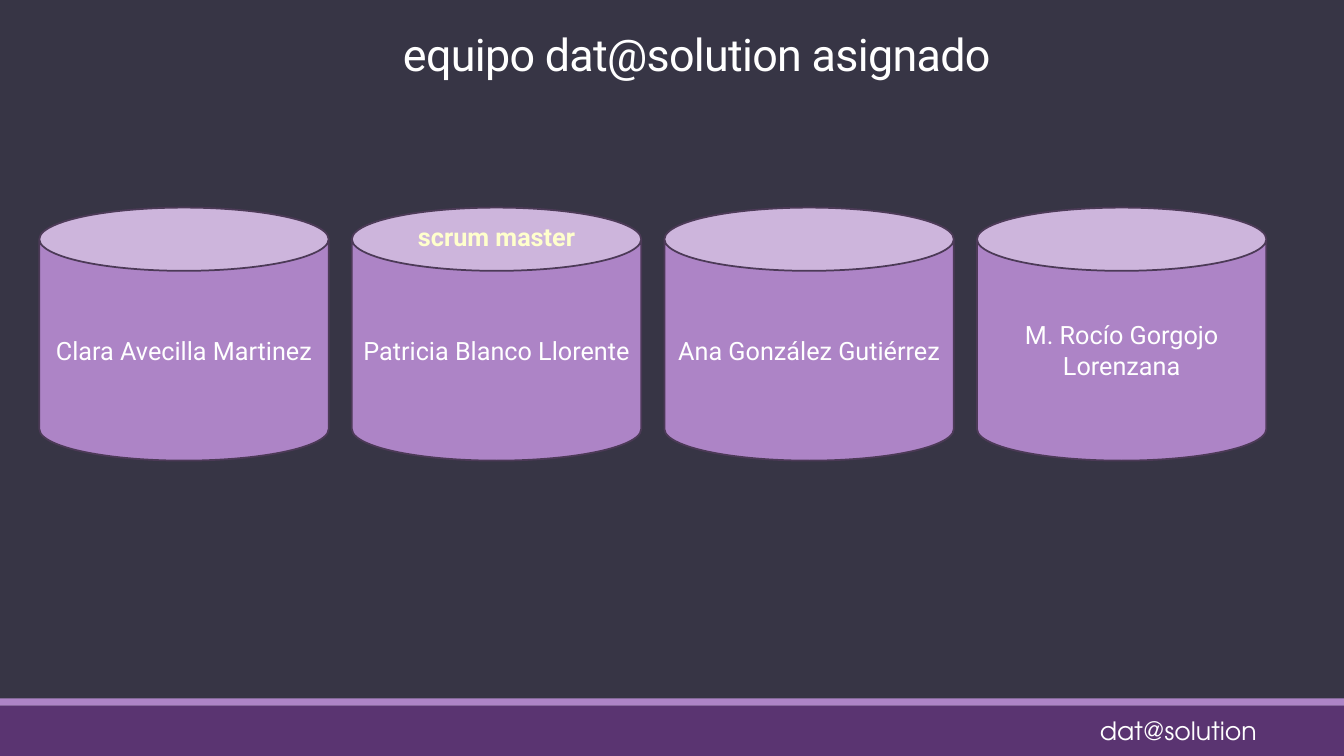
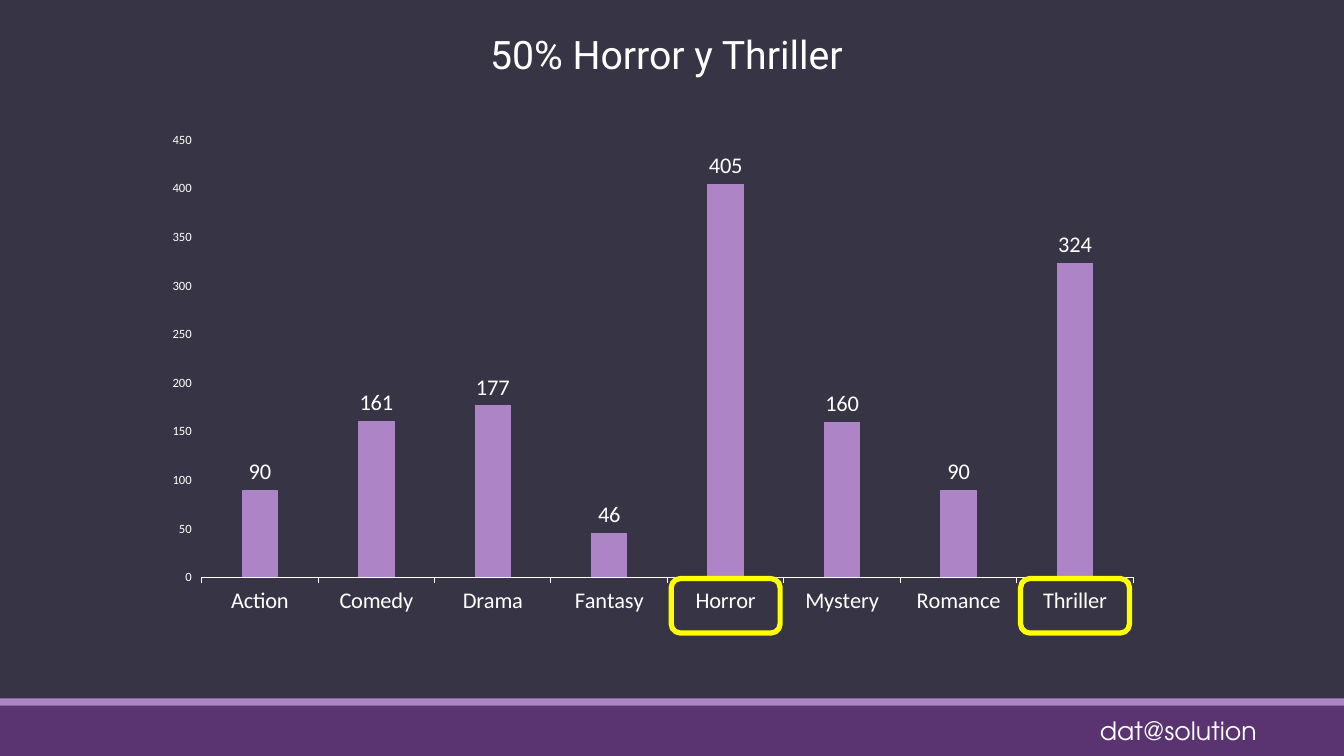
from lxml import etree
from pptx import Presentation
from pptx.chart.data import CategoryChartData
from pptx.dml.color import RGBColor
from pptx.enum.chart import XL_CHART_TYPE, XL_LABEL_POSITION, XL_TICK_MARK
from pptx.enum.shapes import MSO_SHAPE
from pptx.enum.text import MSO_ANCHOR, MSO_AUTO_SIZE, PP_ALIGN
from pptx.oxml.ns import qn
from pptx.util import Inches, Pt

BACKGROUND = "373545"
BAND = "5A3471"
LILAC = "AD84C6"
OUTLINE = "4C3A57"
WHITE = "FFFFFF"
CREAM = "FFFFCC"
YELLOW = "FFFF00"
SLIDE_WIDTH = 13.33
TEXT_FONT = "Roboto"
BRAND_FONT = "TeX Gyre Adventor"
CHART_FONT = "Calibri"

TEAM = ["Clara Avecilla Martinez", "Patricia Blanco Llorente",
        "Ana González Gutiérrez", "M. Rocío Gorgojo Lorenzana"]
SCRUM_MASTER = 1
GENRES = {"Action": 90, "Comedy": 161, "Drama": 177, "Fantasy": 46,
          "Horror": 405, "Mystery": 160, "Romance": 90, "Thriller": 324}
HIGHLIGHTED = ["Horror", "Thriller"]


def color(hex_value):
    return RGBColor.from_string(hex_value)


def box(left, top, width, height):
    return Inches(left), Inches(top), Inches(width), Inches(height)


def format_font(font, size, name=TEXT_FONT, hex_value=WHITE, bold=False):
    font.size = Pt(size)
    font.name = name
    font.bold = bold
    font.color.rgb = color(hex_value)


def write(shape, text, size, align=PP_ALIGN.CENTER, anchor=MSO_ANCHOR.TOP, **font):
    frame = shape.text_frame
    frame.text = text
    frame.word_wrap = True
    frame.auto_size = MSO_AUTO_SIZE.NONE
    frame.vertical_anchor = anchor
    paragraph = frame.paragraphs[0]
    paragraph.alignment = align
    run = paragraph.runs[0]
    format_font(run.font, size, **font)
    return paragraph, run


def add_shape(slide, kind, place, fill=None, line=None, line_width=1):
    shape = slide.shapes.add_shape(kind, *box(*place))
    shape.shadow.inherit = False
    if fill:
        shape.fill.solid()
        shape.fill.fore_color.rgb = color(fill)
    else:
        shape.fill.background()
    if line:
        shape.line.color.rgb = color(line)
        shape.line.width = Pt(line_width)
    else:
        shape.line.fill.background()
    return shape


def add_label(slide, text, place, **style):
    write(slide.shapes.add_textbox(*box(*place)), text, 18, **style)


def add_slide(presentation, title, place, size, anchor):
    slide = presentation.slides.add_slide(presentation.slide_layouts[5])
    add_shape(slide, MSO_SHAPE.RECTANGLE, (0, 7, SLIDE_WIDTH, 0.5), BAND)
    add_shape(slide, MSO_SHAPE.RECTANGLE, (0, 6.93, SLIDE_WIDTH, 0.07), LILAC)
    add_label(slide, "dat@solution", (10.81, 7.05, 1.85, 0.4),
              align=PP_ALIGN.LEFT, name=BRAND_FONT)
    heading = slide.shapes.title
    heading.left, heading.top, heading.width, heading.height = box(*place)
    paragraph, run = write(heading, title, size, anchor=anchor)
    return slide, paragraph, run


def set_plot_area(chart, left, top, width, height):
    plot_area = chart._chartSpace.chart.plotArea
    for old_layout in plot_area.findall(qn("c:layout")):
        plot_area.remove(old_layout)
    layout = etree.Element(qn("c:layout"))
    manual = etree.SubElement(layout, qn("c:manualLayout"))
    settings = {"layoutTarget": "inner", "xMode": "edge", "yMode": "edge",
                "x": left, "y": top, "w": width, "h": height}
    for tag, value in settings.items():
        etree.SubElement(manual, qn(f"c:{tag}")).set("val", str(value))
    plot_area.insert(0, layout)


def add_genre_chart(slide, place):
    data = CategoryChartData()
    data.categories = list(GENRES)
    data.add_series("Series 1", list(GENRES.values()))
    chart = slide.shapes.add_chart(
        XL_CHART_TYPE.COLUMN_CLUSTERED, *box(*place), data).chart
    chart.has_legend = False
    chart.has_title = False
    format_font(chart.font, 10, CHART_FONT)

    plot = chart.plots[0]
    plot.gap_width = 219
    plot.overlap = -27
    plot.vary_by_categories = False
    fill = plot.series[0].format.fill
    fill.solid()
    fill.fore_color.rgb = color(LILAC)

    plot.has_data_labels = True
    labels = plot.data_labels
    labels.show_value = True
    labels.position = XL_LABEL_POSITION.OUTSIDE_END
    format_font(labels.font, 16, CHART_FONT)

    for axis, size in ((chart.category_axis, 16), (chart.value_axis, 9)):
        axis.has_major_gridlines = False
        axis.major_tick_mark = XL_TICK_MARK.OUTSIDE
        format_font(axis.tick_labels.font, size, CHART_FONT)
    chart.category_axis.format.line.color.rgb = color(WHITE)
    chart.category_axis.format.line.width = Pt(0.75)
    chart.value_axis.format.line.fill.background()
    chart.value_axis.minimum_scale = 0
    chart.value_axis.maximum_scale = 450
    chart.value_axis.major_unit = 50
    return chart


def build_team_slide(presentation):
    slide, paragraph, run = add_slide(
        presentation, "equipo dat@solution asignado",
        (1.41, 0.19, 11, 0.66), 32, MSO_ANCHOR.BOTTOM)
    paragraph.line_spacing = 0.85
    run._r.get_or_add_rPr().set("spc", "-50")
    left, pitch, width = 0.39, 3.1, 2.87
    for index, member in enumerate(TEAM):
        can = add_shape(slide, MSO_SHAPE.CAN,
                        (left + index * pitch, 2.06, width, 2.51),
                        LILAC, OUTLINE, 1.25)
        write(can, member, 18, anchor=MSO_ANCHOR.MIDDLE)
    label_width = 1.99
    label_left = left + SCRUM_MASTER * pitch + (width - label_width) / 2
    add_label(slide, "scrum master", (label_left, 2.15, label_width, 0.4),
              hex_value=CREAM, bold=True)


def build_genre_slide(presentation):
    slide, _, _ = add_slide(presentation, "50% Horror y Thriller",
                            (1.51, 0.25, 10.2, 0.57), 28, MSO_ANCHOR.TOP)
    left, top, width, height = 1.51, 1.22, 9.92, 4.99
    plot_left, plot_top, plot_width, plot_height = 2, 1.39, 9.24, 4.34
    chart = add_genre_chart(slide, (left, top, width, height))
    set_plot_area(chart, (plot_left - left) / width, (plot_top - top) / height,
                  plot_width / width, plot_height / height)
    pitch = plot_width / len(GENRES)
    frame_width = 1.08
    for genre in HIGHLIGHTED:
        frame_left = (plot_left + list(GENRES).index(genre) * pitch
                      + (pitch - frame_width) / 2)
        add_shape(slide, MSO_SHAPE.ROUNDED_RECTANGLE,
                  (frame_left, 5.74, frame_width, 0.54),
                  line=YELLOW, line_width=3.75)


def main():
    presentation = Presentation()
    presentation.slide_width = Inches(SLIDE_WIDTH)
    presentation.slide_height = Inches(7.5)
    background = presentation.slide_master.background.fill
    background.solid()
    background.fore_color.rgb = color(BACKGROUND)
    build_team_slide(presentation)
    build_genre_slide(presentation)
    presentation.save("out.pptx")


if __name__ == "__main__":
    main()
